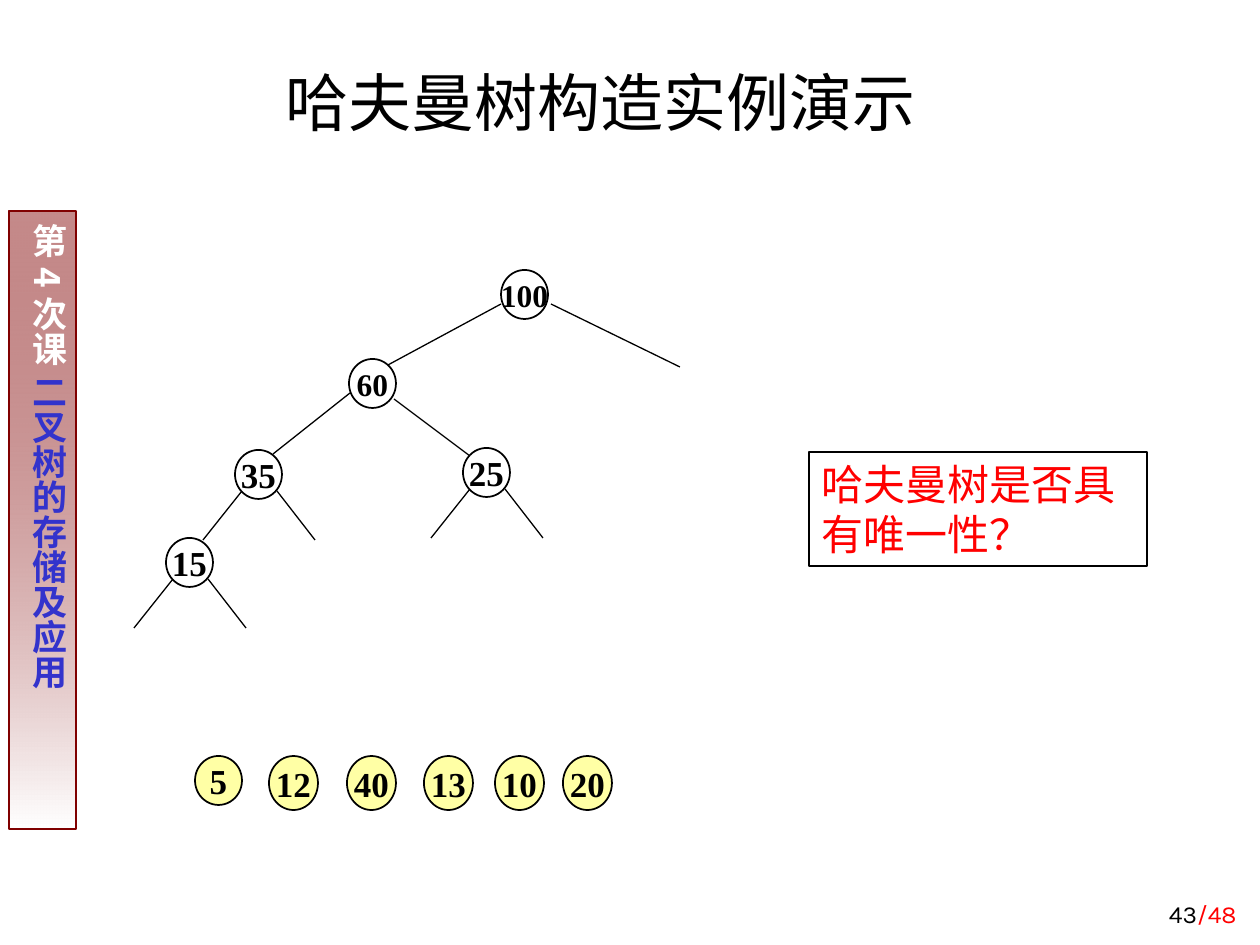
from typing import NamedTuple, Optional

from lxml.etree import SubElement
from pptx import Presentation
from pptx.dml.color import RGBColor
from pptx.enum.shapes import MSO_CONNECTOR, MSO_SHAPE
from pptx.enum.text import MSO_ANCHOR as Anchor, PP_ALIGN as Align
from pptx.oxml.ns import qn
from pptx.util import Emu, Pt

EMU_PER_PX = 914400 / 126
BLACK, WHITE, RED, YELLOW = "000000", "FFFFFF", "FF0000", "FFFFA5"
SERIF, SANS, CJK = "Times New Roman", "Karla", "Noto Sans CJK SC"


class Box(NamedTuple):
    left: int
    top: int
    width: int
    height: int


class Run(NamedTuple):
    text: str
    size: int
    font: str
    color: str = BLACK
    bold: bool = False


class Node(NamedTuple):
    label: str
    box: Box
    fill: str = WHITE
    size: int = 20


class Branch(NamedTuple):
    x1: int
    y1: int
    x2: int
    y2: int


def px(length: int) -> Emu:
    return Emu(round(length * EMU_PER_PX))


def rgb(color: str) -> RGBColor:
    return RGBColor.from_string(color)


def write(shape, runs: list[Run], align=Align.LEFT, anchor=Anchor.TOP, wrap=True) -> None:
    frame = shape.text_frame
    frame.word_wrap = wrap
    frame.vertical_anchor = anchor
    paragraph = frame.paragraphs[0]
    paragraph.alignment = align
    for item in runs:
        run = paragraph.add_run()
        run.text = item.text
        run.font.size = Pt(item.size)
        run.font.name = item.font
        run.font.bold = item.bold
        run.font.color.rgb = rgb(item.color)
        SubElement(run.font._element, qn("a:ea"), typeface=item.font)


def add_text(slide, box: Box, runs: list[Run], align, anchor) -> None:
    write(slide.shapes.add_textbox(*map(px, box)), runs, align, anchor)


def add_outlined(slide, kind, box: Box, fill: Optional[str], line: str, weight: float):
    shape = slide.shapes.add_shape(kind, *map(px, box))
    shape.shadow.inherit = False
    if fill:
        shape.fill.solid()
        shape.fill.fore_color.rgb = rgb(fill)
    else:
        shape.fill.background()
    shape.line.color.rgb = rgb(line)
    shape.line.width = Pt(weight)
    return shape


def add_node(slide, node: Node) -> None:
    shape = add_outlined(slide, MSO_SHAPE.OVAL, node.box, node.fill, BLACK, 1)
    write(shape, [Run(node.label, node.size, SERIF, bold=True)],
          Align.CENTER, Anchor.MIDDLE, wrap=False)


def add_branch(slide, branch: Branch) -> None:
    line = slide.shapes.add_connector(MSO_CONNECTOR.STRAIGHT, *map(px, branch))
    line.line.color.rgb = rgb(BLACK)
    line.line.width = Pt(0.75)
    SubElement(line._element.spPr, qn("a:effectLst"))


def add_sidebar(slide) -> None:
    bar = add_outlined(slide, MSO_SHAPE.RECTANGLE, Box(9, 211, 67, 618), None, "800000", 0.75)
    bar.fill.gradient()
    bar.fill.gradient_angle = 270
    start, end = bar.fill.gradient_stops
    start.position, end.position = 0, 1
    start.color.rgb, end.color.rgb = rgb("800000"), rgb(WHITE)
    # Let the dark end show 46 % of its colour
    tint = bar._element.spPr.find(".//" + qn("a:srgbClr"))
    SubElement(tint, qn("a:alpha"), val="46000")
    frame = bar.text_frame
    frame.margin_left = frame.margin_right = px(6)
    frame.margin_top = frame.margin_bottom = px(13)
    frame._txBody.bodyPr.set("vert", "eaVert")
    write(bar, [Run("第4次课 ", 20, CJK, WHITE, True),
                Run("二叉树的存储及应用", 20, CJK, "3333CC", True)], Align.CENTER)


# Inner nodes of the tree
TREE = [
    Node("100", Box(501, 270, 47, 49), size=18),
    Node("60", Box(349, 359, 47, 49), size=18),
    Node("25", Box(463, 448, 47, 49)),
    Node("35", Box(235, 450, 47, 49)),
    Node("15", Box(166, 538, 47, 49)),
]

# Weights waiting to be merged
WEIGHTS = [Node("5", Box(195, 756, 47, 49), YELLOW)] + [
    Node(label, Box(left, 756, 49, 54), YELLOW)
    for label, left in [("12", 269), ("40", 347), ("13", 424), ("10", 495), ("20", 563)]
]

# Left and right branch of the upper nodes, which differ in spread
BRANCHES = [
    Branch(501, 304, 388, 365), Branch(551, 304, 680, 367),
    Branch(350, 393, 273, 454), Branch(394, 399, 470, 456),
]
# The lower nodes share one spread
for node in TREE[2:]:
    x, y = node.box.left, node.box.top + 41
    BRANCHES += [Branch(x + 7, y, x - 32, y + 49), Branch(x + 42, y, x + 80, y + 49)]


def main() -> None:
    presentation = Presentation()
    presentation.slide_width, presentation.slide_height = px(1260), px(945)
    slide = presentation.slides.add_slide(presentation.slide_layouts[6])

    # Frame of the slide: sidebar, title, page number
    add_sidebar(slide)
    add_text(slide, Box(223, 45, 755, 100), [Run("哈夫曼树构造实例演示", 36, SANS)],
             Align.CENTER, Anchor.BOTTOM)
    add_text(slide, Box(987, 872, 262, 63),
             [Run("43", 14, SANS), Run("/48", 14, SANS, RED)], Align.RIGHT, Anchor.BOTTOM)

    # Tree, with the branches behind the nodes
    for branch in BRANCHES:
        add_branch(slide, branch)
    for node in TREE + WEIGHTS:
        add_node(slide, node)

    # Question
    question = add_outlined(slide, MSO_SHAPE.RECTANGLE, Box(809, 452, 338, 114), None, BLACK, 0.75)
    write(question, [Run("哈夫曼树是否具有唯一性？", 24, SANS, RED)])

    presentation.save("out.pptx")


if __name__ == "__main__":
    main()
